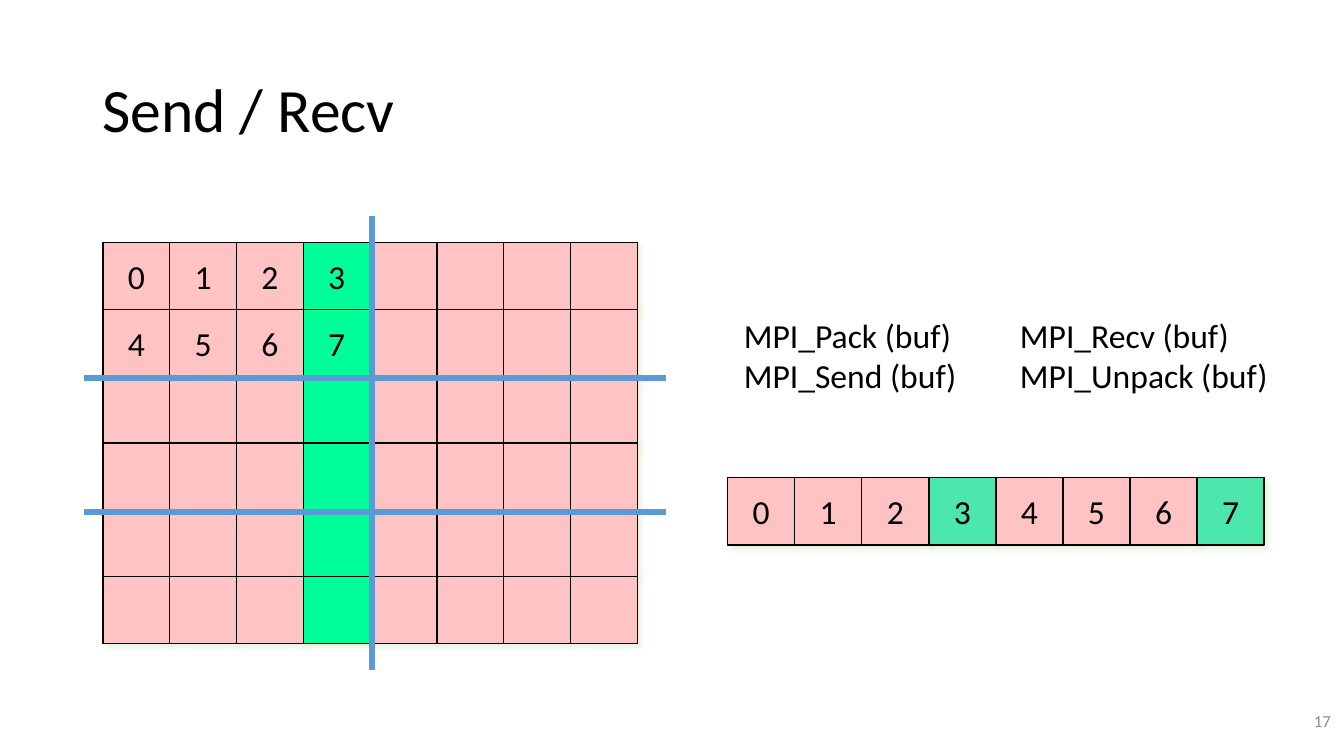
from dataclasses import dataclass

from lxml import etree
from pptx import Presentation
from pptx import util as u
from pptx.dml.color import RGBColor
from pptx.enum import shapes, text
from pptx.oxml import ns

PX = 9525


@dataclass(frozen=True)
class Theme:
    font: str = "Calibri"
    ink: str = "000000"
    muted: str = "8C8C8C"
    cell: str = "FFC3C3"
    boundary: str = "00FF99"
    packed: str = "4BE7AC"
    cut: str = "5B9BD5"
    shadow: str = "C5E0B4"
    title_size: int = 44
    body_size: int = 24
    number_size: int = 12
    cell_line: float = 1
    cut_line: float = 4.5


THEME = Theme()


def px(value):
    return u.Emu(round(value * PX))


def rgb(value):
    return RGBColor.from_string(value)


def place(part, box):
    part.left, part.top, part.width, part.height = map(px, box)


def write(frame, wording, size, color=THEME.ink, align=text.PP_ALIGN.LEFT):
    frame.text = wording
    for paragraph in frame.paragraphs:
        paragraph.alignment = align
        for run in paragraph.runs:
            run.font.name = THEME.font
            run.font.size = u.Pt(size)
            run.font.color.rgb = rgb(color)


def add_shadow(cell):
    cell.shadow.inherit = False
    effects = cell._element.spPr.find(ns.qn("a:effectLst"))
    outer = etree.SubElement(effects, ns.qn("a:outerShdw"), blurRad=str(u.Pt(4)),
                             dist=str(u.Pt(3)), dir="2700000", algn="tl", rotWithShape="0")
    tint = etree.SubElement(outer, ns.qn("a:srgbClr"), val=THEME.shadow)
    etree.SubElement(tint, ns.qn("a:alpha"), val="40000")


def add_cell(slide, box, fill, label):
    cell = slide.shapes.add_shape(shapes.MSO_SHAPE.RECTANGLE, *map(px, box))
    cell.fill.solid()
    cell.fill.fore_color.rgb = rgb(fill)
    cell.line.color.rgb = rgb(THEME.ink)
    cell.line.width = u.Pt(THEME.cell_line)
    add_shadow(cell)
    if label:
        frame = cell.text_frame
        frame.word_wrap = False
        frame.vertical_anchor = text.MSO_ANCHOR.MIDDLE
        write(frame, label, THEME.body_size, align=text.PP_ALIGN.CENTER)


def add_cells(slide, box, rows, columns, fill_at, label_at):
    left, top, width, height = box
    cell_width, cell_height = width / columns, height / rows
    for row in range(rows):
        for column in range(columns):
            cell_box = (left + column * cell_width, top + row * cell_height,
                        cell_width, cell_height)
            add_cell(slide, cell_box, fill_at(column), label_at(row, column))


def add_cut(slide, start, end):
    cut = slide.shapes.add_connector(shapes.MSO_CONNECTOR.STRAIGHT,
                                     *map(px, (*start, *end)))
    cut.line.color.rgb = rgb(THEME.cut)
    cut.line.width = u.Pt(THEME.cut_line)
    etree.SubElement(cut._element.spPr, ns.qn("a:effectLst"))


def add_domain(slide, box):
    rows, columns, owned_rows, owned_columns = 6, 8, 2, 4

    def label_at(row, column):
        owned = row < owned_rows and column < owned_columns
        return str(row * owned_columns + column) if owned else ""

    add_cells(slide, box, rows, columns,
              lambda column: THEME.boundary if column == owned_columns - 1 else THEME.cell,
              label_at)
    left, top, width, height = box
    offset = 2
    for row in (owned_rows, 2 * owned_rows):
        y = top + row * height / rows + offset
        add_cut(slide, (left - 18, y), (left + width + 27, y))
    x = left + owned_columns * width / columns + offset
    add_cut(slide, (x, top - 25), (x, top + height + 25))


def add_buffer(slide, box):
    add_cells(slide, box, 1, 8,
              lambda column: THEME.packed if column % 4 == 3 else THEME.cell,
              lambda row, column: str(column))


def add_title(slide, box):
    title = slide.shapes.title
    place(title, box)
    frame = title.text_frame
    write(frame, "Send / Recv", THEME.title_size)
    frame.auto_size = text.MSO_AUTO_SIZE.NONE
    frame.vertical_anchor = text.MSO_ANCHOR.MIDDLE
    frame.paragraphs[0].line_spacing = 0.9


def add_calls(slide, box, calls):
    frame = slide.shapes.add_textbox(*map(px, box)).text_frame
    frame.word_wrap = False
    frame.auto_size = text.MSO_AUTO_SIZE.SHAPE_TO_FIT_TEXT
    write(frame, "\n".join(calls), THEME.body_size)


def add_slide_number(slide, box):
    frame = slide.shapes.add_textbox(*map(px, box)).text_frame
    frame.word_wrap = True
    frame.vertical_anchor = text.MSO_ANCHOR.MIDDLE
    write(frame, "17", THEME.number_size, THEME.muted, text.PP_ALIGN.RIGHT)


def main():
    deck = Presentation()
    deck.slide_width, deck.slide_height = px(1280), px(720)
    slide = deck.slides.add_slide(deck.slide_layouts[5])
    add_title(slide, (88, 38, 1104, 139))
    add_domain(slide, (98, 231, 509, 382))
    add_slide_number(slide, (989, 667, 288, 38))
    add_calls(slide, (699, 295, 231, 87), ("MPI_Pack (buf)", "MPI_Send (buf)"))
    add_calls(slide, (962, 295, 257, 87), ("MPI_Recv (buf)", "MPI_Unpack (buf)"))
    add_buffer(slide, (693, 455, 511, 64))
    deck.save("out.pptx")


if __name__ == "__main__":
    main()
